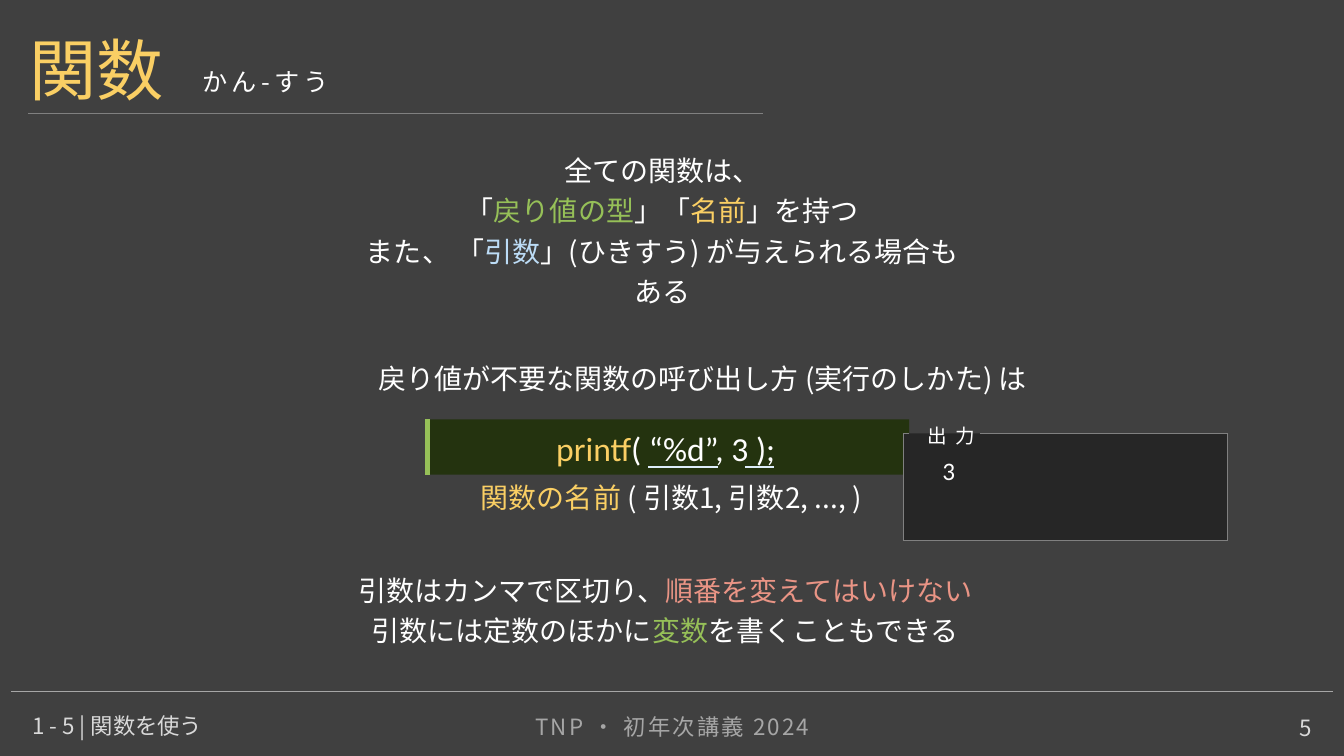
from pptx import Presentation, util as u
from pptx.dml import color
from pptx.enum import shapes, text
from pptx.oxml import ns, xmlchemy

CELL = u.Inches(0.1)
COLUMNS, ROWS = 133.33, 75
JAPANESE, LATIN = "Noto Sans CJK JP", "Calibri"
WHITE, PALE, MUTED, RULE = "FFFFFF", "D9D9D9", "A6A6A6", "808080"
YELLOW, GREEN, BLUE, RED = "FACF64", "96C058", "BCDCF6", "E99485"
UNDERLINE = "DEEDFA"
TOP, MIDDLE, BOTTOM = (
    text.MSO_ANCHOR.TOP, text.MSO_ANCHOR.MIDDLE, text.MSO_ANCHOR.BOTTOM)
LEFT, CENTER, RIGHT = (
    text.PP_ALIGN.LEFT, text.PP_ALIGN.CENTER, text.PP_ALIGN.RIGHT)


def cells(*counts):
    return [round(count * CELL) for count in counts]


def rgb(value):
    return color.RGBColor.from_string(value)


def apply(target, values):
    for name, value in values.items():
        setattr(target, name, value)


def write(frame, lines, size, font=JAPANESE, align=LEFT, anchor=TOP,
          leading=1.0, tracking=0, margins=(1, 0.5)):
    side, edge = cells(*margins)
    apply(frame, {"word_wrap": True, "vertical_anchor": anchor,
                  "margin_left": side, "margin_right": side,
                  "margin_top": edge, "margin_bottom": edge})
    for index, line in enumerate(lines):
        para = frame.add_paragraph() if index else frame.paragraphs[0]
        apply(para, {"alignment": align, "line_spacing": leading})
        for words, tint in line:
            span = para.add_run()
            span.text = words
            apply(span.font, {"name": font, "size": u.Pt(size)})
            span.font.color.rgb = rgb(tint)
            props = span.font._element
            east = xmlchemy.OxmlElement("a:ea")
            east.set("typeface", font)
            props.find(ns.qn("a:latin")).addnext(east)
            if tracking:
                props.set("spc", str(round(tracking * 100)))


def add_text(page, area, lines, size, **style):
    box = page.shapes.add_textbox(*cells(*area))
    write(box.text_frame, lines, size, **style)


def add_body(page, area, lines, size=20, font=JAPANESE):
    add_text(page, area, lines, size, font=font,
             align=CENTER, anchor=MIDDLE, leading=1.2)


def add_panel(page, area, fill):
    panel = page.shapes.add_shape(shapes.MSO_SHAPE.RECTANGLE, *cells(*area))
    panel.shadow.inherit = False
    panel.fill.solid()
    panel.fill.fore_color.rgb = rgb(fill)
    panel.line.fill.background()
    return panel


def add_line(page, ends, tint, width):
    line = page.shapes.add_connector(
        shapes.MSO_CONNECTOR.STRAIGHT, *cells(*ends))
    line.line.color.rgb = rgb(tint)
    line.line.width = u.Pt(width)
    line._element.spPr.append(xmlchemy.OxmlElement("a:effectLst"))


def add_header(page):
    add_text(page, (1.9, 2.3, 46.7, 9.1), [[("関数", YELLOW)]], 48)
    add_text(page, (19.1, 6.1, 31.3, 4), [[("かん-すう", WHITE)]], 18,
             tracking=3)
    add_line(page, (2.8, 11.2, 75.7, 11.2), RULE, 0.5)


def add_footer(page):
    add_line(page, (1.1, 68.6, 132.2, 68.6), MUTED, 0.5)
    add_text(page, (44.2, 70.3, 45, 4), [[("TNP ・ 初年次講義 2024", MUTED)]],
             16, align=CENTER, tracking=1.5)
    add_text(page, (2.2, 70, 40.5, 4), [[("1 - 5 | 関数を使う", PALE)]], 16,
             anchor=MIDDLE)
    add_text(page, (90.6, 70, 40.5, 4), [[("5", PALE)]], 16,
             align=RIGHT, anchor=BOTTOM)


def add_explanation(page):
    add_body(page, (34.2, 15.6, 63, 13.9), [
        [("全ての関数は、", WHITE)],
        [("「", WHITE), ("戻り値の型", GREEN), ("」「", WHITE),
         ("名前", YELLOW), ("」を持つ", WHITE)],
        [("また、 「", WHITE), ("引数", BLUE),
         ("」(ひきすう) が与えられる場合もある", WHITE)],
    ])
    add_body(page, (19.1, 32.8, 101.2, 8.8), [
        [("戻り値が不要な関数の呼び出し方 (実行のしかた) は", WHITE)]])
    add_body(page, (34.5, 55.8, 63, 8.8), [
        [("引数はカンマで区切り、", WHITE), ("順番を変えてはいけない", RED)],
        [("引数には定数のほかに", WHITE), ("変数", GREEN),
         ("を書くこともできる", WHITE)],
    ])


def add_code(page):
    left, top, width, height = 42.4, 41.6, 47.8, 5.5
    add_panel(page, (left, top, width, height), "24330F")
    add_line(page, (left, top, left, top + height), GREEN, 4)
    add_body(page, (40.1, 40.3, 51.9, 7.5),
             [[("printf", YELLOW), ("( “%d”, 3 );", WHITE)]], 24, LATIN)
    for start, end in ((64.3, 71.2), (73.9, 76.8)):
        add_line(page, (start, 46.3, end, 46.3), UNDERLINE, 1.5)
    add_body(page, (35.1, 46.3, 63, 5.4), [
        [("関数の名前 ", YELLOW), ("( 引数1, 引数2, ..., )", WHITE)]])


def add_output(page):
    left, top, right, bottom = 89.6, 43, 121.8, 53.6
    gap_start, gap_end = 90.2, 97.2
    panel = add_panel(page, (left, top, right - left, bottom - top), "262626")
    write(panel.text_frame, [[("3", WHITE)]], 18, font=LATIN, leading=1.2,
          margins=(3.9, 1.6))
    for ends in ((right, top, right, bottom), (left, top, left, bottom),
                 (left, bottom, right, bottom), (left, top, gap_start, top),
                 (gap_end, top, right, top)):
        add_line(page, ends, RULE, 0.5)
    add_text(page, (90.3, 41.8, 8.1, 2.4), [[("出力", WHITE)]], 14,
             align=CENTER, anchor=MIDDLE, leading=1.2, tracking=6)


def main():
    deck = Presentation()
    width, height = cells(COLUMNS, ROWS)
    apply(deck, {"slide_width": width, "slide_height": height})
    page = deck.slides.add_slide(deck.slide_layouts[6])
    page.background.fill.solid()
    page.background.fill.fore_color.rgb = rgb("404040")
    add_footer(page)
    add_header(page)
    add_explanation(page)
    add_code(page)
    add_output(page)
    deck.save("out.pptx")


if __name__ == "__main__":
    main()
